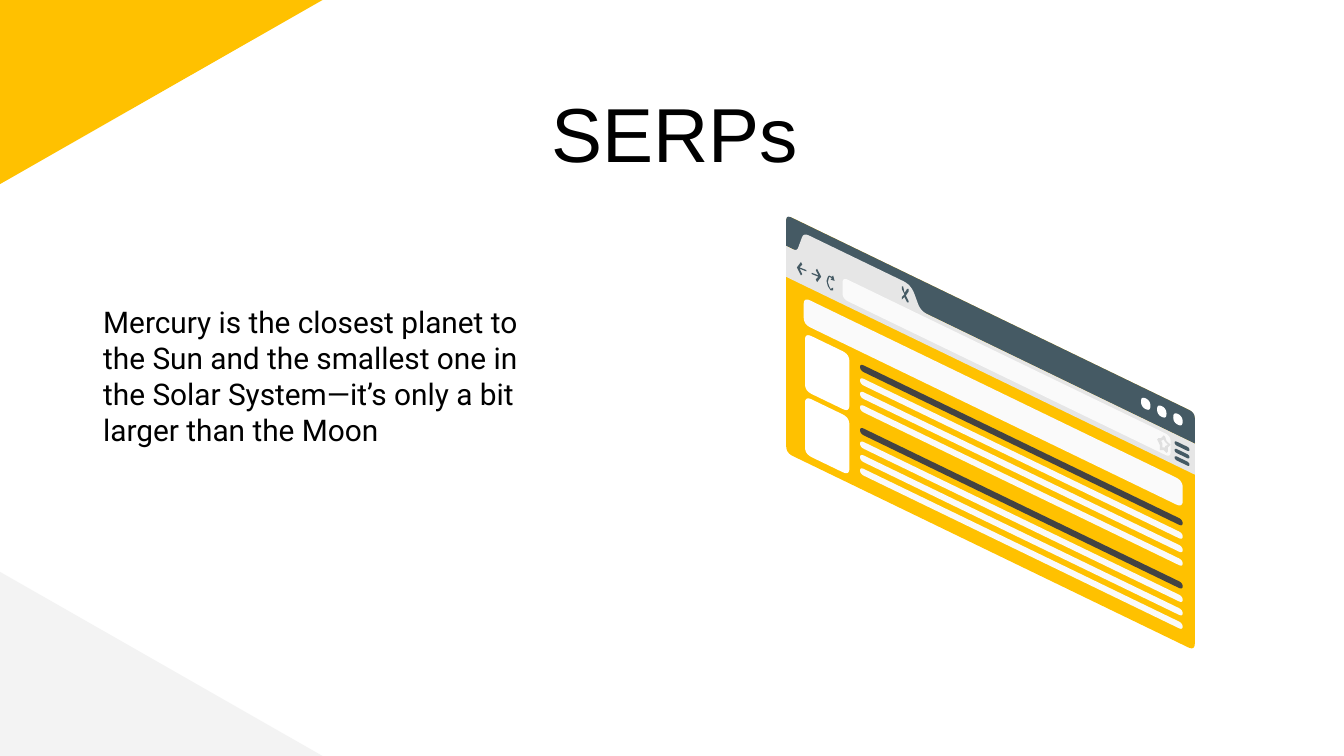
from dataclasses import dataclass

import pptx
import pptx.dml.color
import pptx.enum.shapes
import pptx.enum.text
import pptx.util

Inches = pptx.util.Inches


@dataclass(frozen=True)
class Theme:
    """Colours, fonts and type sizes of the deck."""
    yellow: str = "FFC100"
    pale: str = "F3F3F3"
    slate: str = "455A64"
    toolbar: str = "E6E6E6"
    field: str = "FAFAFA"
    white: str = "FFFFFF"
    charcoal: str = "434343"
    star: str = "E0E0E0"
    ink: str = "000000"
    title_font: str = "Arial"
    body_font: str = "Roboto"
    title_size: int = 41
    body_size: int = 16


THEME = Theme()
SLOPE = 0.484

BACK_ARROW = [(.03, 0), (0, .04), (.03, .1), (.04, .09), (.02, .05),
              (.07, .07), (.07, .06), (.02, .04), (.04, .02)]
FORWARD_ARROW = [(.07 - x, .1 - y) for x, y in BACK_ARROW]
RELOAD = [(.02, 0), (.01, .01), (0, .04), (.01, .08), (.03, .11), (.05, .11),
          (.05, .09), (.03, .1), (.02, .08), (.01, .05), (.02, .01),
          (.04, .02), (.03, .03), (.06, .04), (.05, 0), (.04, .01)]
CLOSE = [(0, 0), (0, .02), (.02, .06), (0, .08), (0, .1), (.02, .08),
         (.04, .12), (.05, .12), (.05, .11), (.03, .07), (.05, .04),
         (.05, .02), (.04, .02), (.02, .05), (.01, 0)]
STAR = [(.05, 0), (.03, .02), (.01, .02), (0, .03), (.02, .07), (.02, .11),
        (.05, .11), (.07, .13), (.08, .12), (.08, .09), (.1, .07),
        (.07, .04), (.06, .01)]
STAR_HOLE = [(.05, .03), (.06, .05), (.08, .07), (.06, .08), (.06, .09),
             (.04, .09), (.04, .06), (.03, .04)]


def paint(shape, color):
    """Give a shape a flat fill without line or shadow."""
    shape.shadow.inherit = False
    shape.fill.solid()
    shape.fill.fore_color.rgb = pptx.dml.color.RGBColor.from_string(color)
    shape.line.fill.background()


def add_text(slide, box, paragraphs, *, font, size, color=THEME.ink,
             align=pptx.enum.text.PP_ALIGN.LEFT, inset=0.1):
    """Place paragraphs of one format in a text box."""
    frame = slide.shapes.add_textbox(*map(Inches, box)).text_frame
    frame.word_wrap = True
    frame.vertical_anchor = pptx.enum.text.MSO_ANCHOR.TOP
    frame.margin_left = frame.margin_right = Inches(inset)
    frame.margin_top = frame.margin_bottom = Inches(inset)
    for index, words in enumerate(paragraphs):
        paragraph = frame.add_paragraph() if index else frame.paragraphs[0]
        paragraph.text = words
        paragraph.alignment = align
        paragraph.font.name = font
        paragraph.font.size = pptx.util.Pt(size)
        paragraph.font.color.rgb = pptx.dml.color.RGBColor.from_string(color)


def add_corner(slide, box, color, at_top=False):
    """Place a right triangle in a left corner of the slide."""
    corner = slide.shapes.add_shape(
        pptx.enum.shapes.MSO_SHAPE.RIGHT_TRIANGLE, *map(Inches, box))
    paint(corner, color)
    if at_top:
        corner.rotation = 180
        corner.element.spPr.xfrm.set("flipH", "1")


def add_outline(shapes, left, top, contours, color):
    """Draw closed contours whose points are relative to left and top."""
    placed = [[(Inches(left + x), Inches(top + y)) for x, y in contour]
              for contour in contours]
    builder = shapes.build_freeform(*placed[0][0])
    builder.add_line_segments(placed[0][1:], close=True)
    for contour in placed[1:]:
        builder.move_to(*contour[0])
        builder.add_line_segments(contour[1:], close=True)
    paint(builder.convert_to_shape(), color)


def rounded(corners, radii, steps=6):
    """Return the corners of a polygon replaced by sampled curves."""
    points = []
    for index, (x, y) in enumerate(corners):
        if not radii[index]:
            points.append((x, y))
            continue
        ends = []
        for near_x, near_y in (corners[index - 1],
                               corners[(index + 1) % len(corners)]):
            length = ((near_x - x) ** 2 + (near_y - y) ** 2) ** 0.5
            share = min(radii[index] / length, 0.5)
            ends.append((x + share * (near_x - x), y + share * (near_y - y)))
        (ax, ay), (bx, by) = ends
        for t in (step / steps for step in range(steps + 1)):
            a, c, b = (1 - t) ** 2, 2 * t * (1 - t), t ** 2
            points.append((a * ax + c * x + b * bx, a * ay + c * y + b * by))
    return points


def add_browser(slide, left, top):
    """Draw a skewed browser window showing two search results."""
    shapes = slide.shapes.add_group_shape().shapes
    width, height = 3.04, 1.77
    bar = 0.23

    def skewed(corners, radii, color):
        points = [(x, y + SLOPE * x) for x, y in rounded(corners, radii)]
        add_outline(shapes, left, top, [points], color)

    def panel(x, y, w, h, color, radii):
        corners = [(x, y), (x + w, y), (x + w, y + h), (x, y + h)]
        skewed(corners, radii, color)

    panel(0, 0, width, height, THEME.yellow, [0.05] * 4)
    panel(0.13, 0.55, 2.82, 0.2, THEME.field, [0.05] * 4)
    for result in range(2):
        result_top = 0.81 + 0.47 * result
        panel(0.14, result_top, 0.33, 0.43, THEME.white, [0.05] * 4)
        for line in range(4):
            color = THEME.field if line else THEME.charcoal
            panel(0.55, result_top + 0.03 + 0.1 * line, 2.4, 0.05, color,
                  [0.03] * 4)

    panel(0, 0, width, bar, THEME.slate, [0.04, 0.04, 0, 0])
    tab = [(0, bar), (0.08, bar), (0.13, 0.07), (0.93, 0.07), (1, bar),
           (width, bar), (width, 2 * bar), (0, 2 * bar)]
    skewed(tab, [0, 0.03, 0.04, 0.06, 0.05, 0, 0, 0], THEME.toolbar)
    for dot in range(3):
        panel(2.64 + 0.12 * dot, 0.07, 0.07, 0.08, THEME.white, [0.04] * 4)
    panel(0.42, 0.26, 2.44, 0.16, THEME.field, [0.04] * 4)
    for stripe in range(3):
        panel(2.89, 0.28 + 0.055 * stripe, 0.11, 0.03, THEME.slate, [0.02] * 4)

    for x, y, contours, color in (
            (0.08, 0.35, [BACK_ARROW], THEME.slate),
            (0.19, 0.4, [FORWARD_ARROW], THEME.slate),
            (0.3, 0.45, [RELOAD], THEME.slate),
            (0.86, 0.53, [CLOSE], THEME.slate),
            (2.76, 1.64, [STAR, STAR_HOLE], THEME.star)):
        add_outline(shapes, left + x, top + y, contours, color)


def main():
    """Build the slide and save it."""
    deck = pptx.Presentation()
    width = 10
    height = width * 9 / 16
    deck.slide_width, deck.slide_height = Inches(width), Inches(height)
    slide = deck.slides.add_slide(deck.slide_layouts[6])

    corner_width, corner_height = 2.4, 1.37
    add_corner(slide, (0, 0, corner_width, corner_height), THEME.yellow,
               at_top=True)
    add_corner(slide, (0, height - corner_height, corner_width, corner_height),
               THEME.pale)
    add_text(slide, (0.67, 2.16, 3.57, 2.12),
             ["Mercury is the closest planet to",
              "the Sun and the smallest one in the Solar System—it’s only "
              "a bit larger than the Moon"],
             font=THEME.body_font, size=THEME.body_size)
    add_text(slide, (0.59, 0.54, 8.86, 0.63), ["SERPs"],
             font=THEME.title_font, size=THEME.title_size,
             align=pptx.enum.text.PP_ALIGN.CENTER)
    add_browser(slide, 5.85, 1.6)
    deck.save("out.pptx")


if __name__ == "__main__":
    main()
